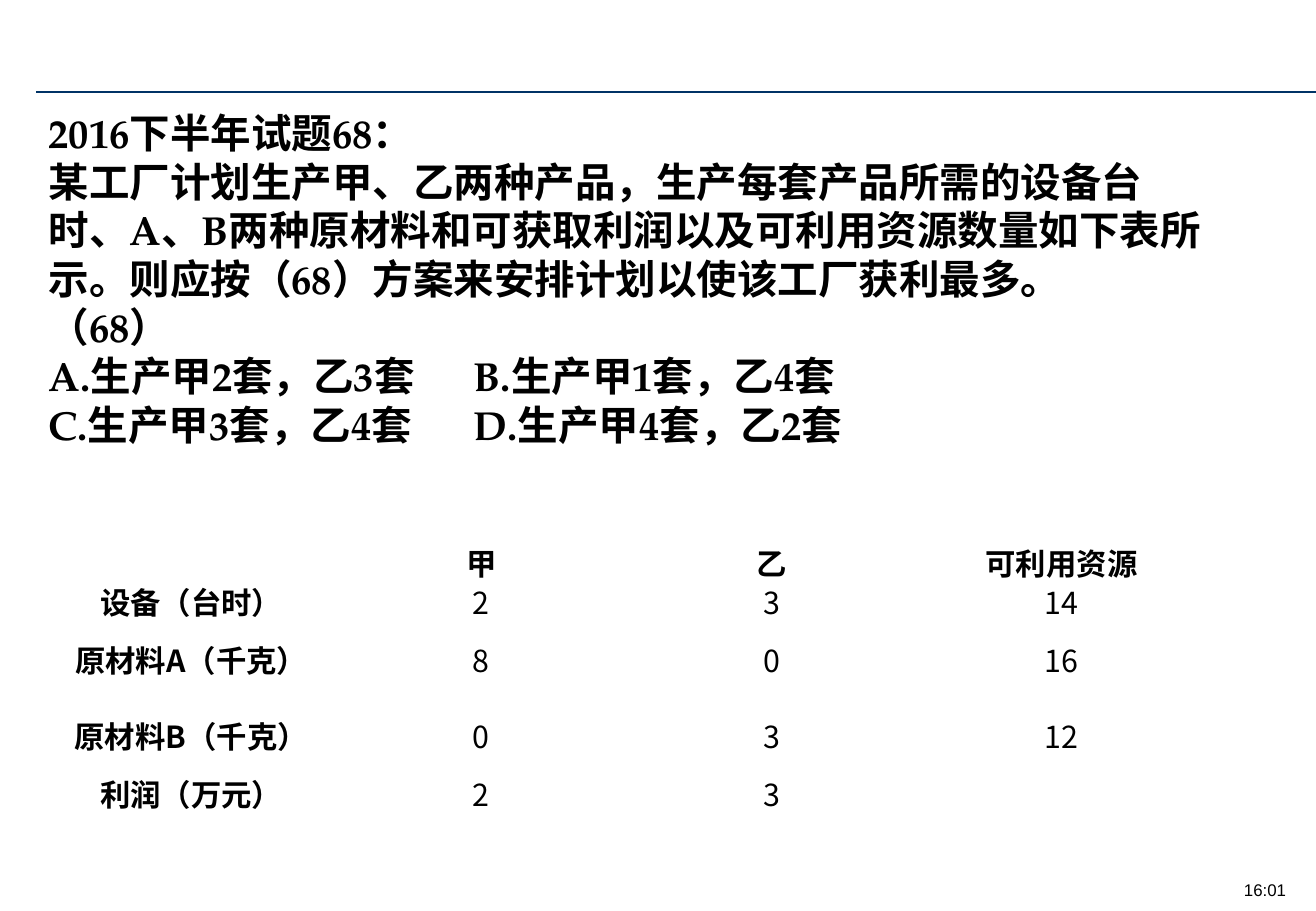
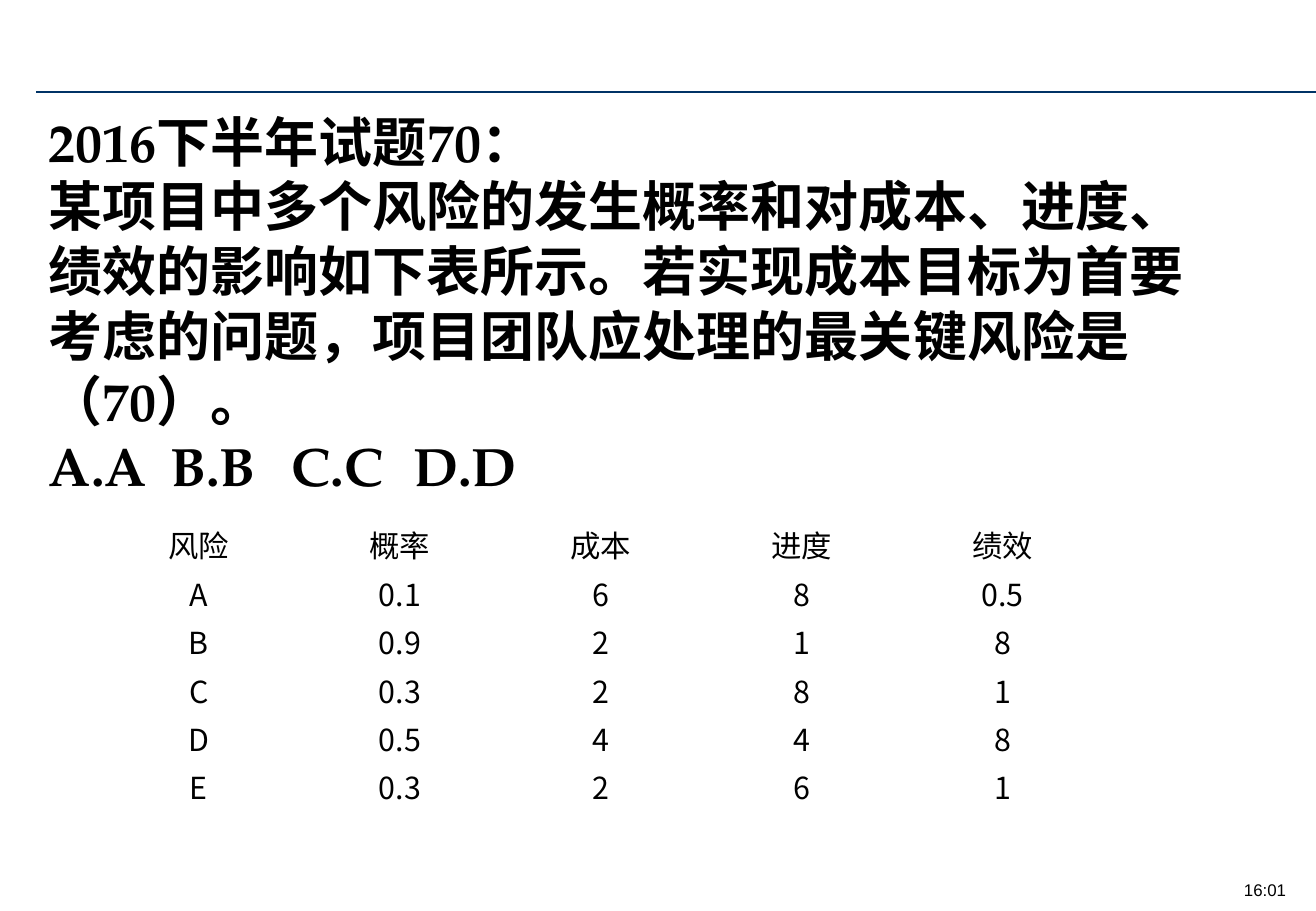
from dataclasses import dataclass
from typing import Optional

from lxml import etree
from pptx import Presentation
from pptx.dml.color import RGBColor
from pptx.enum.shapes import MSO_CONNECTOR
from pptx.enum.text import MSO_ANCHOR, MSO_AUTO_SIZE, PP_ALIGN
from pptx.oxml.ns import qn
from pptx.util import Inches, Pt

BLACK = RGBColor(0x00, 0x00, 0x00)
WHITE = RGBColor(0xFF, 0xFF, 0xFF)
NAVY = RGBColor(0x00, 0x33, 0x66)
SERIF, SANS, CJK = "TeX Gyre Pagella", "Arial", "Noto Sans CJK SC"
LEFT, CENTER = PP_ALIGN.LEFT, PP_ALIGN.CENTER
TOP, MIDDLE = MSO_ANCHOR.TOP, MSO_ANCHOR.MIDDLE
NO_AUTOFIT = MSO_AUTO_SIZE.NONE
STRAIGHT = MSO_CONNECTOR.STRAIGHT
WIDTH, HEIGHT, MARGIN = 10.83, 7.5, 0.3


@dataclass(frozen=True)
class Grid:
    left: float
    top: float
    width: float
    row_heights: tuple[float, ...]
    rows: tuple[tuple[str, ...], ...]
    anchor: MSO_ANCHOR
    bold_heads: bool = False
    line_spacing: Optional[Pt] = None


@dataclass(frozen=True)
class Question:
    size: int
    height: float
    lines: tuple[str, ...]
    grid: Grid


QUESTIONS = (
    Question(
        24, 2.93,
        (
            "2016下半年试题68：",
            "某工厂计划生产甲、乙两种产品，生产每套产品所需的设备台时、A、B两种原材料"
            "和可获取利润以及可利用资源数量如下表所示。则应按（68）方案来安排计划以使"
            "该工厂获利最多。",
            "（68）",
            "A.生产甲2套，乙3套 \tB.生产甲1套，乙4套",
            "C.生产甲3套，乙4套 \tD.生产甲4套，乙2套",
        ),
        Grid(
            0.38, 4.49, 9.55, (0.31, 0.31, 0.63, 0.63, 0.31),
            (
                ("", "甲", "乙", "可利用资源"),
                ("设备（台时）", "2", "3", "14"),
                ("原材料A（千克）", "8", "0", "16"),
                ("原材料B（千克）", "0", "3", "12"),
                ("利润（万元）", "2", "3", ""),
            ),
            MIDDLE, True, Pt(23),
        ),
    ),
    Question(
        32, 3.33,
        (
            "2016下半年试题70：",
            "某项目中多个风险的发生概率和对成本、进度、绩效的影响如下表所示。若实现成本"
            "目标为首要考虑的问题，项目团队应处理的最关键风险是（70）。",
            "A.A \tB.B \tC.C \tD.D",
        ),
        Grid(
            0.81, 4.3, 8.27, (0.4, 0.4, 0.4, 0.4, 0.39, 0.4),
            (
                ("风险", "概率", "成本", "进度", "绩效"),
                ("A", "0.1", "6", "8", "0.5"),
                ("B", "0.9", "2", "1", "8"),
                ("C", "0.3", "2", "8", "1"),
                ("D", "0.5", "4", "4", "8"),
                ("E", "0.3", "2", "6", "1"),
            ),
            TOP,
        ),
    ),
)


def apply(target, formats: dict) -> None:
    for name, value in formats.items():
        setattr(target, name, value)


def write(p, text: str, font: str, size: int, bold: bool, align=CENTER) -> None:
    apply(p, {"alignment": align, "space_before": Pt(0), "space_after": Pt(0)})
    if not text:
        return
    p.text = text
    for r in p.runs:
        apply(r.font, {"name": font, "size": Pt(size), "bold": bold})
        r.font.color.rgb = BLACK
        etree.SubElement(r.font._element, qn("a:ea"), typeface=CJK)


def add_frame(slide, layout) -> None:
    rule = slide.shapes.add_connector(
        STRAIGHT, Inches(MARGIN), Inches(0.76), Inches(WIDTH), Inches(0.76)
    )
    rule.line.color.rgb = NAVY
    rule.line.width = Pt(1)
    etree.SubElement(rule.element.spPr, qn("a:effectLst"))
    clock = slide.shapes.add_textbox(
        Inches(10.1), Inches(7.19), Inches(0.62), Inches(0.27)
    )
    clock.text_frame.word_wrap = True
    write(clock.text_frame.paragraphs[0], "16:01", SANS, 10, False)
    for sp in (rule, clock):
        layout.shapes.element.append(sp.element)


def add_question(slide, question: Question) -> None:
    title = slide.shapes.title
    title.element.getparent().remove(title.element)
    body = slide.placeholders[1]
    apply(body, {
        "left": Inches(MARGIN), "top": Inches(0.84),
        "width": Inches(9.73), "height": Inches(question.height),
    })
    tf = body.text_frame
    apply(tf, {"word_wrap": True, "auto_size": NO_AUTOFIT, "vertical_anchor": TOP})
    for i, line in enumerate(question.lines):
        p = tf.add_paragraph() if i else tf.paragraphs[0]
        write(p, line, SERIF, question.size, True, LEFT)
        p_pr = p._p.get_or_add_pPr()
        for name in ("marL", "indent", "hangingPunct"):
            p_pr.set(name, "0")
        etree.SubElement(p_pr, qn("a:buNone"))


def set_borders(cell, bottom: int) -> None:
    tc_pr = cell._tc.get_or_add_tcPr()
    for side, width in (("L", 1), ("R", 1), ("T", 1), ("B", bottom)):
        ln = etree.SubElement(tc_pr, qn(f"a:ln{side}"), w=str(Pt(width)))
        fill = etree.SubElement(ln, qn("a:solidFill"))
        etree.SubElement(fill, qn("a:srgbClr"), val=str(WHITE))


def add_grid(slide, grid: Grid) -> None:
    table = slide.shapes.add_table(
        len(grid.rows), len(grid.rows[0]), Inches(grid.left), Inches(grid.top),
        Inches(grid.width), Inches(sum(grid.row_heights)),
    ).table
    table.horz_banding = False
    for i, (height, texts) in enumerate(zip(grid.row_heights, grid.rows)):
        table.rows[i].height = Inches(height)
        for j, text in enumerate(texts):
            cell = table.cell(i, j)
            apply(cell, {
                "margin_left": Inches(0.08), "margin_right": Inches(0.08),
                "margin_top": 0, "margin_bottom": 0,
                "vertical_anchor": grid.anchor,
            })
            set_borders(cell, 1 if i else 3)
            cell.fill.solid()
            cell.fill.fore_color.rgb = WHITE
            bold = grid.bold_heads and (i == 0 or j == 0)
            p = cell.text_frame.paragraphs[0]
            write(p, text, CJK, 18, bold)
            p.line_spacing = grid.line_spacing


def main() -> None:
    prs = Presentation()
    prs.slide_width, prs.slide_height = Inches(WIDTH), Inches(HEIGHT)
    layout = prs.slide_layouts[1]
    for i, question in enumerate(QUESTIONS):
        slide = prs.slides.add_slide(layout)
        if i == 0:
            add_frame(slide, layout)
        add_question(slide, question)
        add_grid(slide, question.grid)
    prs.save("out.pptx")


if __name__ == "__main__":
    main()
